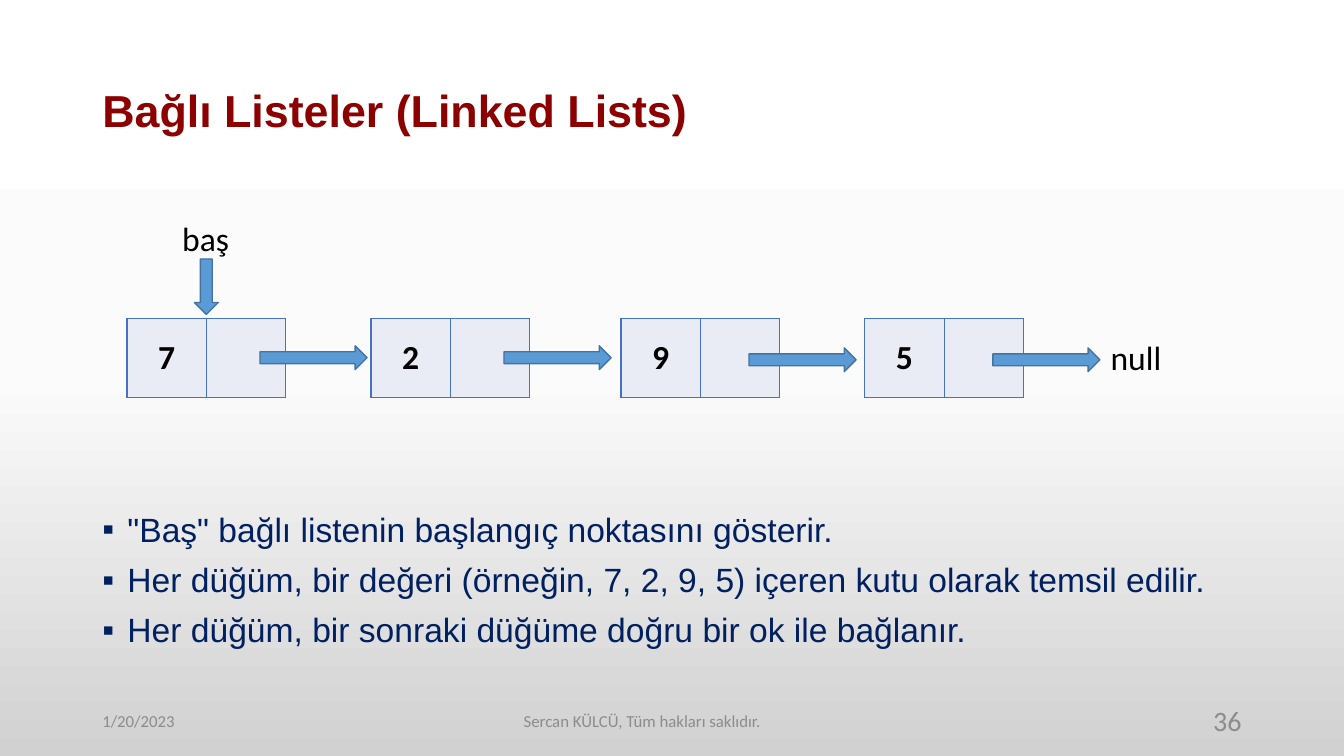
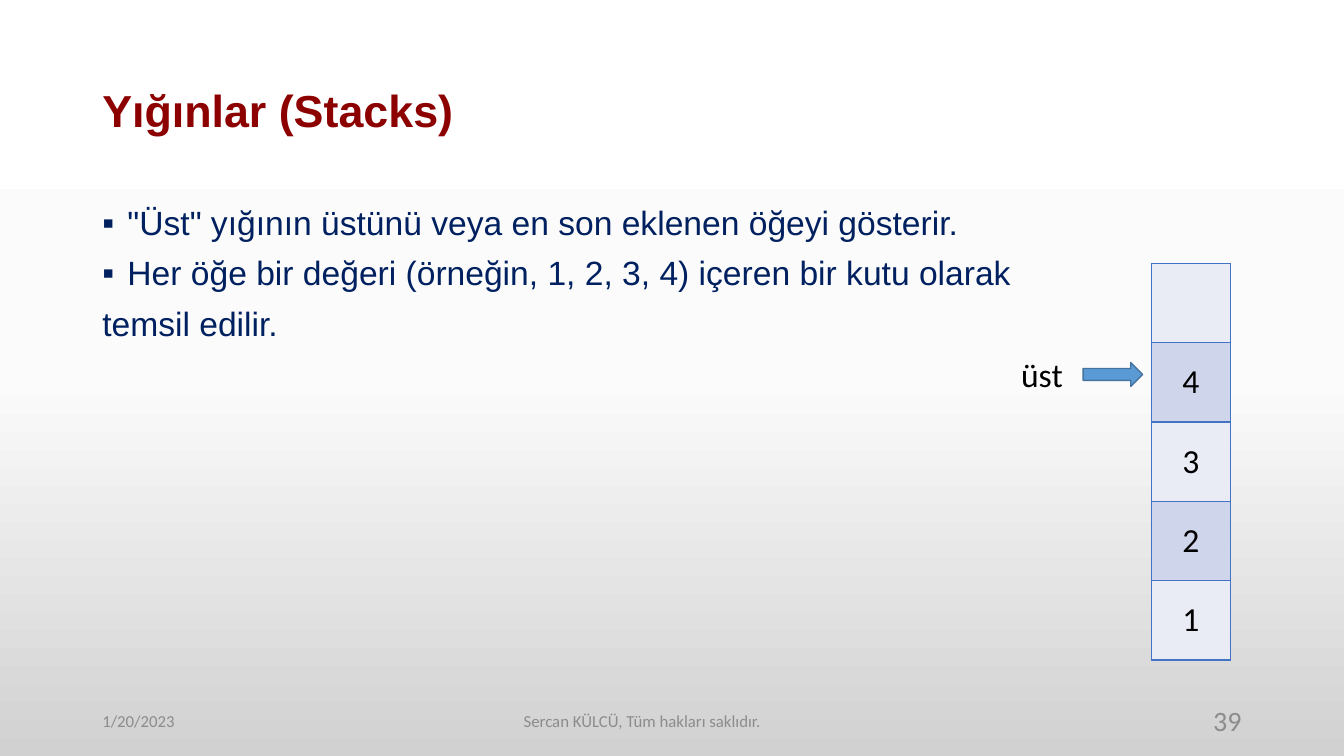
import copy

import pptx
import pptx.dml.color
import pptx.enum.shapes
import pptx.enum.text
import pptx.oxml
import pptx.oxml.ns
import pptx.util

Pt = pptx.util.Pt
Align = pptx.enum.text.PP_ALIGN
Anchor = pptx.enum.text.MSO_ANCHOR
Shape = pptx.enum.shapes.MSO_SHAPE

TITLE_RED = "8C0000"
BODY_NAVY = "002060"
FOOTER_GREY = "8C8C8C"
BLACK = "000000"
BORDER = "4472C4"
ARROW_FILL = "5B9BD5"
ARROW_LINE = "43739E"
CELL_FILLS = ("E9EBF5", "CFD5EA")
BACKGROUND_STOPS = ((0, "FFFFFF"), (0.5, "FBFBFB"), (1, "D1D1D1"))

MARGIN = 66
CONTENT_WIDTH = 828
CELL = 56.7
ARROW_THICKNESS = 17


def color(hex_value):
    return pptx.dml.color.RGBColor.from_string(hex_value)


def set_font(paragraph, name, size, hex_value, bold=False):
    font = paragraph.font
    font.name, font.size, font.bold = name, Pt(size), bold
    font.color.rgb = color(hex_value)


def set_background(master):
    fill = master.background.fill
    fill.gradient()
    fill.gradient_angle = 270
    stop_list = master.element.find(".//" + pptx.oxml.ns.qn("a:gsLst"))
    stop_list.append(copy.deepcopy(stop_list[0]))
    for stop, (position, hex_value) in zip(fill.gradient_stops, BACKGROUND_STOPS):
        stop.position = position
        stop.color.rgb = color(hex_value)


def add_text_box(slide, box, anchor=Anchor.TOP, wrap=True):
    """Return the empty text frame of a box given as left, top, width, height."""
    frame = slide.shapes.add_textbox(*map(Pt, box)).text_frame
    frame.word_wrap = wrap
    frame.vertical_anchor = anchor
    return frame


def add_title(slide, text):
    frame = add_text_box(slide, (MARGIN, 28.8, CONTENT_WIDTH, 104.4), Anchor.MIDDLE)
    paragraph = frame.paragraphs[0]
    paragraph.text = text
    paragraph.line_spacing = 0.9
    set_font(paragraph, "Arial", 32, TITLE_RED, bold=True)


def add_footer(slide, number):
    top, height = 500.4, 28.8
    parts = (
        ("1/20/2023", MARGIN, 216, Align.LEFT, 12),
        ("Sercan KÜLCÜ, Tüm hakları saklıdır.", 185.8, 545.8, Align.CENTER, 12),
        (str(number), 678, 216, Align.RIGHT, 20),
    )
    for text, left, width, alignment, size in parts:
        frame = add_text_box(slide, (left, top, width, height), Anchor.MIDDLE)
        paragraph = frame.paragraphs[0]
        paragraph.text = text
        paragraph.alignment = alignment
        set_font(paragraph, "Calibri", size, FOOTER_GREY)


def add_bullet(paragraph):
    properties = paragraph._p.get_or_add_pPr()
    properties.set("marL", str(Pt(18)))
    properties.set("indent", str(-Pt(18)))
    namespace = pptx.oxml.ns.nsdecls("a")
    properties.append(pptx.oxml.parse_xml(f'<a:buFont {namespace} typeface="Arial"/>'))
    properties.append(pptx.oxml.parse_xml(f'<a:buChar {namespace} char="▪"/>'))


def add_body(slide, top, height, lines):
    """Place lines given as (text, bulleted)."""
    frame = add_text_box(slide, (MARGIN, top, CONTENT_WIDTH, height))
    for index, (text, bulleted) in enumerate(lines):
        paragraph = frame.add_paragraph() if index else frame.paragraphs[0]
        paragraph.text = text
        if bulleted:
            add_bullet(paragraph)
        paragraph.alignment = Align.JUSTIFY
        paragraph.line_spacing = 0.9
        paragraph.space_before = Pt(10 if index else 0)
        set_font(paragraph, "Arial", 24, BODY_NAVY)


def add_label(slide, left, top, width, text):
    frame = add_text_box(slide, (left, top, width, 36), wrap=False)
    frame.auto_size = pptx.enum.text.MSO_AUTO_SIZE.SHAPE_TO_FIT_TEXT
    paragraph = frame.paragraphs[0]
    paragraph.text = text
    set_font(paragraph, "Calibri", 24, BLACK)


def add_arrow(slide, kind, left, top, width, height):
    arrow = slide.shapes.add_shape(kind, *map(Pt, (left, top, width, height)))
    arrow.shadow.inherit = False
    arrow.fill.solid()
    arrow.fill.fore_color.rgb = color(ARROW_FILL)
    arrow.line.color.rgb = color(ARROW_LINE)
    arrow.line.width = Pt(1)


def set_borders(cell):
    properties = cell._tc.get_or_add_tcPr()
    for side in ("lnL", "lnR", "lnT", "lnB"):
        properties.append(pptx.oxml.parse_xml(
            f'<a:{side} {pptx.oxml.ns.nsdecls("a")} w="{Pt(1)}"><a:solidFill>'
            f'<a:srgbClr val="{BORDER}"/></a:solidFill></a:{side}>'))


def add_cells(slide, left, top, rows, bold=False):
    """Draw rows of square cells, shaded by turns."""
    row_count, column_count = len(rows), len(rows[0])
    table = slide.shapes.add_table(
        row_count, column_count, Pt(left), Pt(top),
        Pt(CELL * column_count), Pt(CELL * row_count)).table
    table.first_row = table.horz_banding = False
    for row_index, row in enumerate(rows):
        for column_index, text in enumerate(row):
            cell = table.cell(row_index, column_index)
            set_borders(cell)
            cell.fill.solid()
            cell.fill.fore_color.rgb = color(CELL_FILLS[row_index % 2])
            cell.vertical_anchor = Anchor.MIDDLE
            if text:
                paragraph = cell.text_frame.paragraphs[0]
                paragraph.text = text
                paragraph.alignment = Align.CENTER
                set_font(paragraph, "Calibri", 24, BLACK, bold)


def add_linked_list(slide, left, top):
    # value, node offset, arrow offset from the node, arrow drop
    nodes = (("7", 0, 95, 19.5), ("2", 174.3, 95, 19.5),
             ("9", 352.8, 91.5, 21), ("5", 527, 91.5, 21))
    for value, offset, _, _ in nodes:
        add_cells(slide, left + offset, top, [(value, "")], bold=True)
    for _, offset, shift, drop in nodes:
        add_arrow(slide, Shape.RIGHT_ARROW, left + offset + shift, top + drop,
                  76.5, ARROW_THICKNESS)
    add_arrow(slide, Shape.DOWN_ARROW, left + CELL - ARROW_THICKNESS / 2, top - 42.5,
              ARROW_THICKNESS, 39.6)
    add_label(slide, left + 32.4, top - 75.6, 48.2, "baş")
    add_label(slide, left + 695.5, top + 9.4, 51.1, "null")


def add_stack(slide, left, top, values):
    add_cells(slide, left, top, [(value,) for value in values])
    add_label(slide, left - 100, top + 61.2, 44.6, "üst")
    add_arrow(slide, Shape.RIGHT_ARROW, left - 48.6, top + 71, 42.5, ARROW_THICKNESS)


def add_slide(presentation, title, number):
    slide = presentation.slides.add_slide(presentation.slide_layouts[6])
    add_title(slide, title)
    add_footer(slide, number)
    return slide


def main():
    presentation = pptx.Presentation()
    presentation.slide_width, presentation.slide_height = Pt(960), Pt(540)
    set_background(presentation.slide_master)

    slide = add_slide(presentation, "Bağlı Listeler (Linked Lists)", 36)
    add_body(slide, 363, 130, (
        ('"Baş" bağlı listenin başlangıç noktasını gösterir.', True),
        ("Her düğüm, bir değeri (örneğin, 7, 2, 9, 5) içeren kutu olarak temsil edilir.", True),
        ("Her düğüm, bir sonraki düğüme doğru bir ok ile bağlanır.", True),
    ))
    add_linked_list(slide, 90.7, 227.5)

    slide = add_slide(presentation, "Yığınlar (Stacks)", 39)
    add_body(slide, 144, 368.6, (
        ('"Üst" yığının üstünü veya en son eklenen öğeyi gösterir.', True),
        ("Her öğe bir değeri (örneğin, 1, 2, 3, 4) içeren bir kutu olarak", True),
        ("temsil edilir.", False),
    ))
    add_stack(slide, 822.3, 188, ("", "4", "3", "2", "1"))

    presentation.save("out.pptx")


if __name__ == "__main__":
    main()
